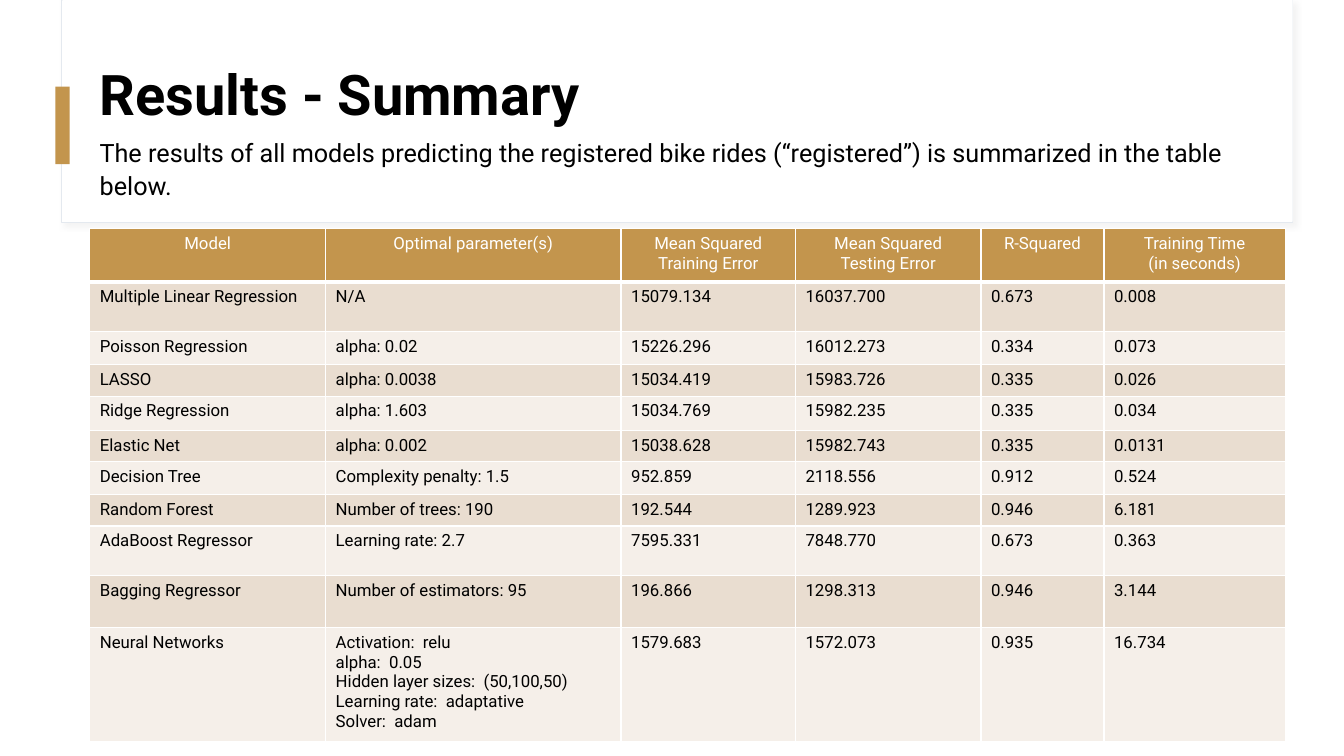
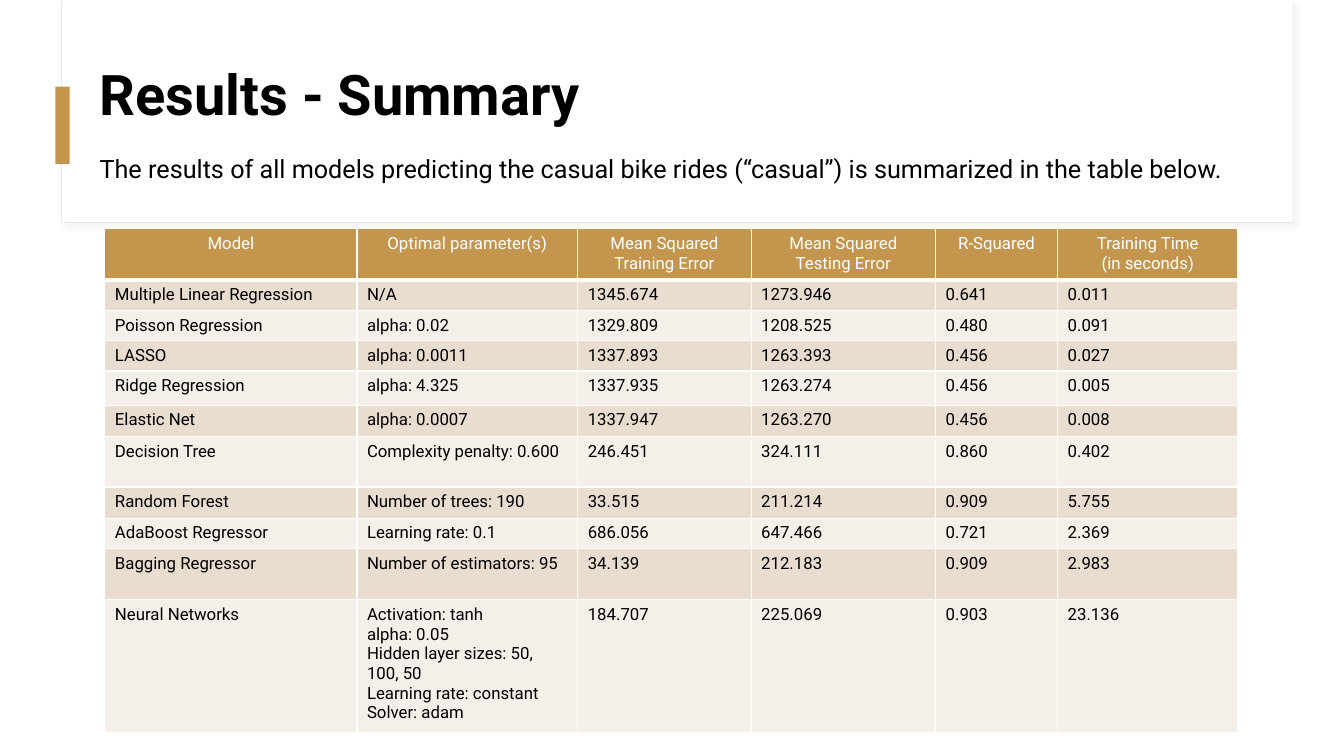
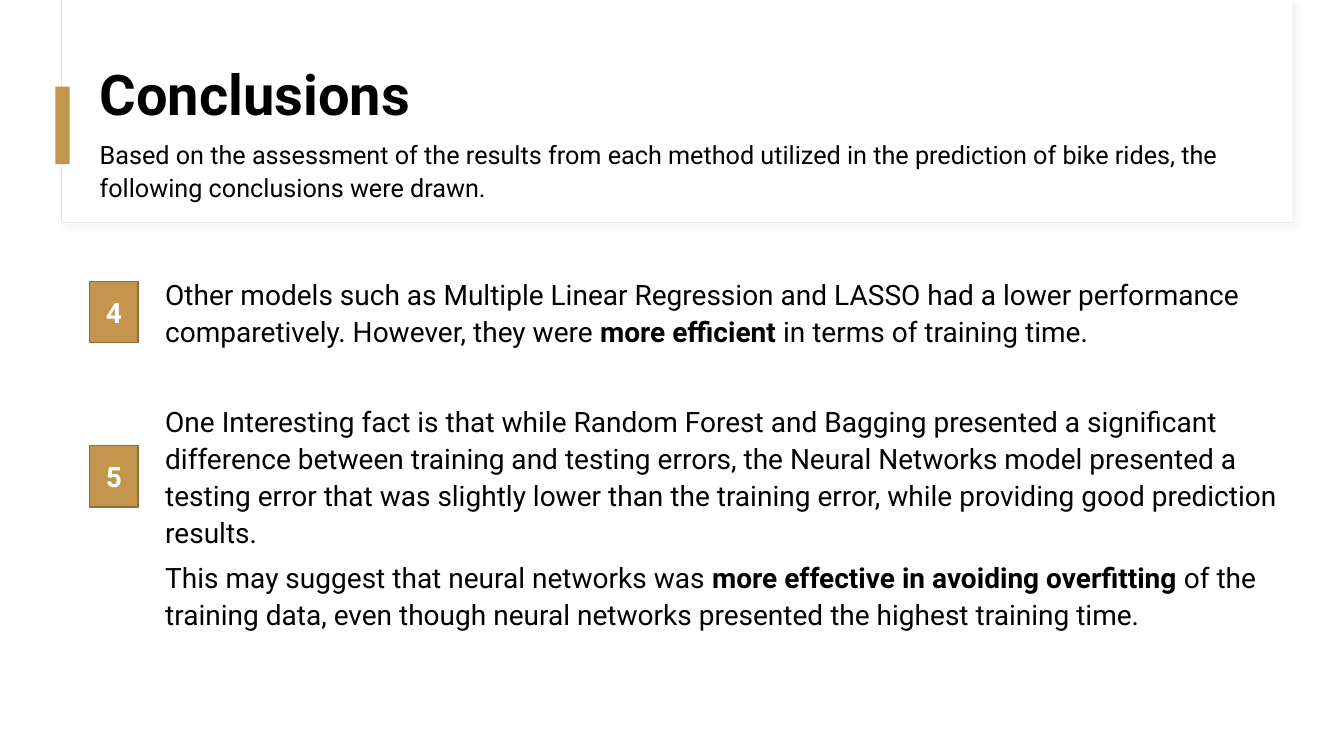
from lxml.etree import SubElement
from pptx import Presentation
from pptx.dml.color import RGBColor
from pptx.enum.shapes import MSO_SHAPE
from pptx.enum.text import MSO_ANCHOR, PP_ALIGN
from pptx.oxml.ns import qn
from pptx.util import Inches, Pt

GOLD = RGBColor(0xC3, 0x95, 0x4D)
DARK_GOLD = RGBColor(0x90, 0x6E, 0x39)
SAND = RGBColor(0xE9, 0xDD, 0xD0)
CREAM = RGBColor(0xF5, 0xEF, 0xE9)
PALE_BLUE = RGBColor(0xE4, 0xE9, 0xEF)
SHADOW_GREY = RGBColor(0xD9, 0xD9, 0xD9)
WHITE = RGBColor(0xFF, 0xFF, 0xFF)
BLACK = RGBColor(0, 0, 0)
FONT = "Roboto"
LEFT = 0.89

HEADERS = [
    "Model", "Optimal parameter(s)", "Mean Squared Training Error",
    "Mean Squared Testing Error", "R-Squared", "Training Time\n(in seconds)",
]
MODELS = [
    "Multiple Linear Regression", "Poisson Regression", "LASSO",
    "Ridge Regression", "Elastic Net", "Decision Tree", "Random Forest",
    "AdaBoost Regressor", "Bagging Regressor", "Neural Networks",
]

REGISTERED = [
    ("N/A", "15079.134", "16037.700", "0.673", "0.008"),
    ("alpha: 0.02", "15226.296", "16012.273", "0.334", "0.073"),
    ("alpha: 0.0038", "15034.419", "15983.726", "0.335", "0.026"),
    ("alpha: 1.603", "15034.769", "15982.235", "0.335", "0.034"),
    ("alpha: 0.002", "15038.628", "15982.743", "0.335", "0.0131"),
    ("Complexity penalty: 1.5", "952.859", "2118.556", "0.912", "0.524"),
    ("Number of trees: 190", "192.544", "1289.923", "0.946", "6.181"),
    ("Learning rate: 2.7", "7595.331", "7848.770", "0.673", "0.363"),
    ("Number of estimators: 95", "196.866", "1298.313", "0.946", "3.144"),
    ("Activation:  relu\nalpha:  0.05\nHidden layer sizes:  (50,100,50)\n"
     "Learning rate:  adaptative\nSolver:  adam",
     "1579.683", "1572.073", "0.935", "16.734"),
]
REGISTERED_COLS = [2.34, 2.93, 1.73, 1.84, 1.22, 1.8]
REGISTERED_ROWS = [0.53, 0.49, 0.33, 0.31, 0.34, 0.31, 0.33, 0.31, 0.49, 0.52, 1.13]

CASUAL = [
    ("N/A", "1345.674", "1273.946", "0.641", "0.011"),
    ("alpha: 0.02", "1329.809", "1208.525", "0.480", "0.091"),
    ("alpha: 0.0011", "1337.893", "1263.393", "0.456", "0.027"),
    ("alpha: 4.325", "1337.935", "1263.274", "0.456", "0.005"),
    ("alpha: 0.0007", "1337.947", "1263.270", "0.456", "0.008"),
    ("Complexity penalty: 0.600", "246.451", "324.111", "0.860", "0.402"),
    ("Number of trees: 190", "33.515", "211.214", "0.909", "5.755"),
    ("Learning rate: 0.1", "686.056", "647.466", "0.721", "2.369"),
    ("Number of estimators: 95", "34.139", "212.183", "0.909", "2.983"),
    ("Activation: tanh\nalpha: 0.05\nHidden layer sizes: 50, 100, 50\n"
     "Learning rate: constant\nSolver: adam",
     "184.707", "225.069", "0.903", "23.136"),
]
CASUAL_COLS = [2.5, 2.19, 1.72, 1.83, 1.21, 1.79]
CASUAL_ROWS = [0.51, 0.3, 0.3, 0.3, 0.34, 0.31, 0.5, 0.31, 0.3, 0.51, 1.32]

CONCLUSIONS = [
    ("Other models such as Multiple Linear Regression and LASSO had a lower "
     "performance comparetively. However, they were *more efficient *in terms "
     "of training time.", 38),
    ("One Interesting fact is that while Random Forest and Bagging presented a "
     "significant difference between training and testing errors, the Neural "
     "Networks model presented a testing error that was slightly lower than the "
     "training error, while providing good prediction results.", 6),
    ("This may suggest that neural networks was *more effective in avoiding "
     "overfitting* of the training data, even though neural networks presented "
     "the highest training time.", 6),
]


def set_font(p, size, color=BLACK, bold=False):
    p.font.name = FONT
    p.font.size = Pt(size)
    p.font.color.rgb = color
    p.font.bold = bold


def add_rect(s, box, fill, line=None, width=1):
    sp = s.shapes.add_shape(MSO_SHAPE.RECTANGLE, *map(Inches, box))
    sp.shadow.inherit = False
    sp.fill.solid()
    sp.fill.fore_color.rgb = fill
    if line is None:
        sp.line.fill.background()
    else:
        sp.line.color.rgb = line
        sp.line.width = Pt(width)
    return sp


def add_soft_shadow(sp):
    effects = sp._element.spPr.find(qn("a:effectLst"))
    shadow = SubElement(effects, qn("a:outerShdw"), blurRad=str(Pt(4)),
                        dist=str(Pt(3)), dir="2700000", algn="tl", rotWithShape="0")
    color = SubElement(shadow, qn("a:srgbClr"), val=str(SHADOW_GREY))
    SubElement(color, qn("a:alpha"), val="30000")


def add_text(s, box, anchor=MSO_ANCHOR.MIDDLE):
    tf = s.shapes.add_textbox(*map(Inches, box)).text_frame
    tf.word_wrap = True
    tf.vertical_anchor = anchor
    return tf


def add_header(s, title, subtitle, subtitle_top=1.22):
    add_soft_shadow(add_rect(s, (0.61, 0, 12.21, 2.21), WHITE, PALE_BLUE, 0.75))
    add_rect(s, (0.62, 0, 12.2, 2.2), WHITE)
    add_rect(s, (0.55, 0.86, 0.14, 0.77), GOLD)
    p = add_text(s, (LEFT, 0.32, 11.12, 1.29)).paragraphs[0]
    p.text = title
    p.line_spacing = 0.9
    set_font(p, 40, bold=True)
    p = add_text(s, (LEFT, subtitle_top, 11.9, 0.88)).paragraphs[0]
    p.text = subtitle
    p.line_spacing = 1.1
    p.space_after = Pt(6)
    set_font(p, 18)


def set_borders(cell, bottom):
    tcPr = cell._tc.get_or_add_tcPr()
    for side, width in (("L", 1), ("R", 1), ("T", 1), ("B", bottom)):
        ln = SubElement(tcPr, qn("a:ln" + side), w=str(Pt(width)))
        SubElement(SubElement(ln, qn("a:solidFill")), qn("a:srgbClr"), val=str(WHITE))


def fill_cell(cell, text, fill, is_header):
    set_borders(cell, 3 if is_header else 1)
    cell.fill.solid()
    cell.fill.fore_color.rgb = fill
    cell.text = text
    for p in cell.text_frame.paragraphs:
        p.alignment = PP_ALIGN.CENTER if is_header else PP_ALIGN.LEFT
        set_font(p, 12, WHITE if is_header else BLACK)


def add_results_table(s, left, top, results, cols, heights):
    rows = [HEADERS] + [(model, *values) for model, values in zip(MODELS, results)]
    table = s.shapes.add_table(len(rows), len(cols), Inches(left), Inches(top),
                               Inches(sum(cols)), Inches(sum(heights))).table
    table.first_row = False
    table.horz_banding = False
    for column, width in zip(table.columns, cols):
        column.width = Inches(width)
    for i, (texts, height) in enumerate(zip(rows, heights)):
        table.rows[i].height = Inches(height)
        fill = GOLD if i == 0 else SAND if i % 2 else CREAM
        for j, text in enumerate(texts):
            fill_cell(table.cell(i, j), text, fill, i == 0)


def add_conclusions(s, box):
    tf = add_text(s, box, MSO_ANCHOR.TOP)
    for i, (text, gap) in enumerate(CONCLUSIONS):
        p = tf.add_paragraph() if i else tf.paragraphs[0]
        p.line_spacing = 1.1
        p.space_after = Pt(gap)
        set_font(p, 20)
        for j, part in enumerate(text.split("*")):
            r = p.add_run()
            r.text = part
            if j % 2:
                r.font.bold = True


def add_badge(s, left, top, number):
    sp = add_rect(s, (left, top, 0.48, 0.61), GOLD, DARK_GOLD)
    tf = sp.text_frame
    tf.vertical_anchor = MSO_ANCHOR.MIDDLE
    p = tf.paragraphs[0]
    p.text = str(number)
    p.alignment = PP_ALIGN.CENTER
    set_font(p, 20, WHITE, True)


def results_slide(s, target, left, results, cols, heights):
    add_header(s, "Results - Summary",
               f"The results of all models predicting the {target} bike rides "
               f"(“{target}”) is summarized in the table below.")
    add_results_table(s, left, 2.27, results, cols, heights)


def conclusions_slide(s):
    add_header(s, "Conclusions",
               "Based on the assessment of the results from each method utilized in "
               "the prediction of bike rides, the following conclusions were drawn.",
               1.24)
    add_conclusions(s, (1.54, 2.67, 11.25, 4.4))
    for number, top in ((4, 2.79), (5, 4.42)):
        add_badge(s, LEFT, top, number)


def main():
    prs = Presentation()
    prs.slide_width = Inches(13.33)
    prs.slide_height = Inches(7.5)
    blank = prs.slide_layouts[6]
    results_slide(prs.slides.add_slide(blank), "registered", LEFT,
                  REGISTERED, REGISTERED_COLS, REGISTERED_ROWS)
    results_slide(prs.slides.add_slide(blank), "casual", 1.04,
                  CASUAL, CASUAL_COLS, CASUAL_ROWS)
    conclusions_slide(prs.slides.add_slide(blank))
    prs.save("out.pptx")


if __name__ == "__main__":
    main()
